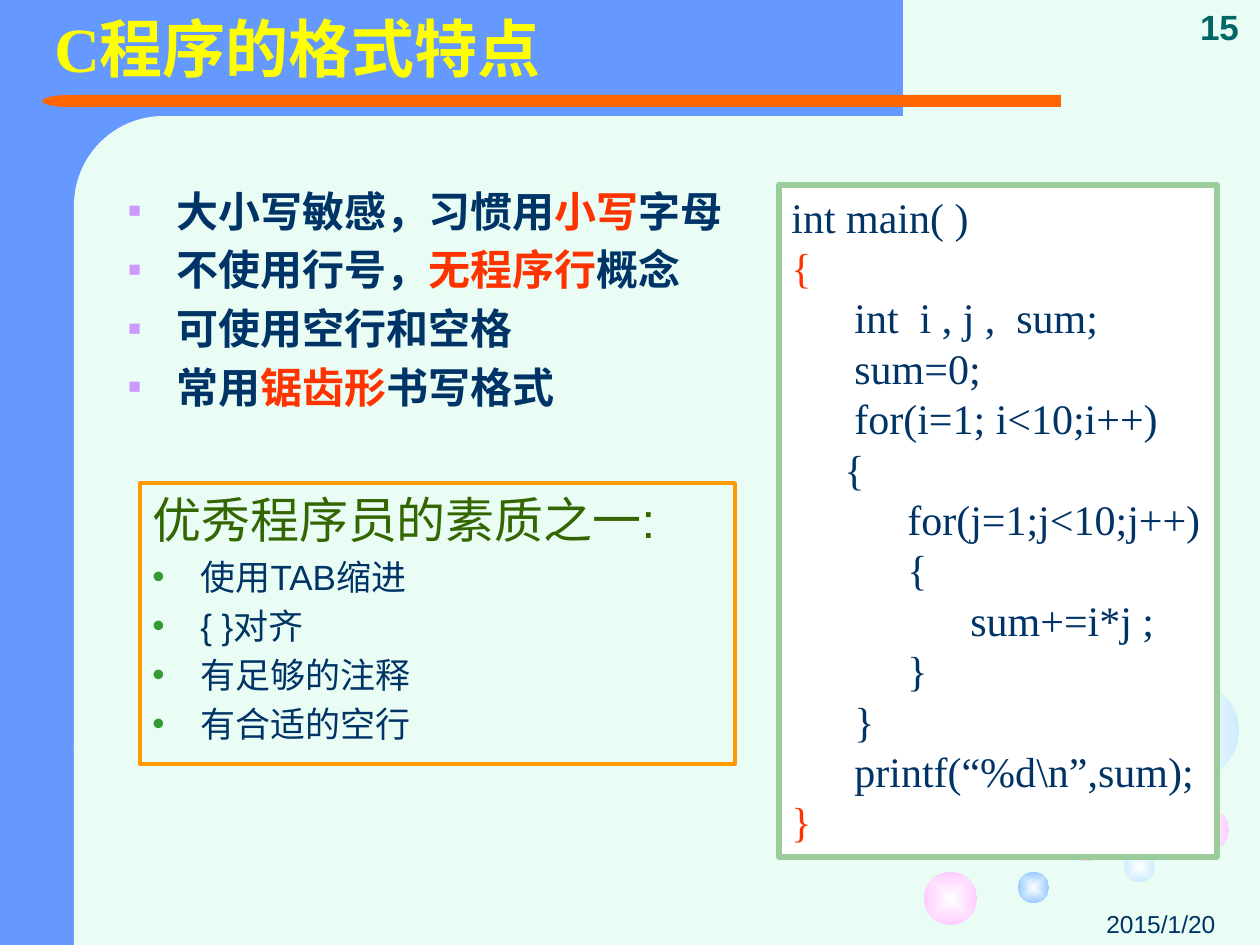
"""Build the slide on the layout habits of C programs."""
from lxml.etree import SubElement
from pptx import Presentation
from pptx.dml.color import RGBColor
from pptx.enum.shapes import MSO_SHAPE
from pptx.enum.text import MSO_ANCHOR, PP_ALIGN
from pptx.oxml.ns import qn
from pptx.util import Emu, Pt

MINT, BLUE, ORANGE = "E9FDF4", "6699FF", "FF6600"
NAVY, RED = "003366", "FF3300"
PINK, PALE, SKY = "FFCCFF", "CCECFF", "99CCFF"
BUBBLES = [(1050, 788, 73, PINK), (924, 872, 53, PINK), (1124, 851, 31, PALE),
           (1187, 809, 42, PINK), (1144, 683, 95, PALE), (1018, 872, 31, SKY)]
POINTS = [
    [("大小写敏感，习惯用", NAVY), ("小写", RED), ("字母", NAVY)],
    [("不使用行号，", NAVY), ("无程序行", RED), ("概念", NAVY)],
    [("可使用空行和空格", NAVY)],
    [("常用", NAVY), ("锯齿形", RED), ("书写格式", NAVY)],
]
HABITS = ["使用TAB缩进", "{ }对齐", "有足够的注释", "有合适的空行"]
CODE = [(0, "int main( )", NAVY), (0, "{", RED), (63, "int  i , j ,  sum;", NAVY),
        (63, "sum=0;", NAVY), (63, "for(i=1; i<10;i++)", NAVY), (53, "{", NAVY),
        (116, "for(j=1;j<10;j++)", NAVY), (116, "{", NAVY), (179, "sum+=i*j ;", NAVY),
        (116, "}", NAVY), (63, "}", NAVY), (63, "printf(“%d\\n”,sum);", NAVY),
        (0, "}", RED)]


def px(n):
    return Emu(round(n * 914400 / 126))


def rgb(value):
    return RGBColor.from_string(value)


def write(tf, runs, size=24, font="Arial", bold=False, align=None, margin=0,
          hang=0, before=0, bullet=None, bullet_color=None, bullet_size=100,
          line_spacing=None):
    """Append one paragraph of (text, colour) runs to a text frame."""
    p = tf.paragraphs[0]
    if p.runs:
        p = tf.add_paragraph()
    p.alignment = align
    p.line_spacing = line_spacing
    for text, color in runs:
        r = p.add_run()
        r.text = text
        r.font.size, r.font.name, r.font.bold = Pt(size), font, bold
        r.font.color.rgb = rgb(color)
    ppr = p._p.get_or_add_pPr()
    ppr.set("marL", str(px(margin)))
    ppr.set("indent", str(px(-hang)))
    if before:
        spacing = SubElement(ppr, qn("a:spcBef"))
        SubElement(spacing, qn("a:spcPct"), val=str(before * 1000))
    if bullet:
        color = SubElement(ppr, qn("a:buClr"))
        SubElement(color, qn("a:srgbClr"), val=bullet_color)
        SubElement(ppr, qn("a:buSzPct"), val=str(bullet_size * 1000))
        SubElement(ppr, qn("a:buFont"), typeface="Arial")
        SubElement(ppr, qn("a:buChar"), char=bullet)


class Deck:
    """Hold the current slide and draw its elements."""

    def __init__(self, s):
        self.s = s

    def shape(self, kind, x, y, w, h, fill=None, line=None, weight=1):
        sp = self.s.shapes.add_shape(kind, px(x), px(y), px(w), px(h))
        sp.shadow.inherit = False
        if fill:
            sp.fill.solid()
            sp.fill.fore_color.rgb = rgb(fill)
        else:
            sp.fill.background()
        if line:
            sp.line.color.rgb = rgb(line)
            sp.line.width = Pt(weight)
        else:
            sp.line.fill.background()
        return sp

    def bubble(self, x, y, d, color):
        sp = self.shape(MSO_SHAPE.OVAL, x, y, d, d)
        sp.fill.gradient()
        for stop, value in zip(sp.fill.gradient_stops, ("FFFFFF", color)):
            stop.color.rgb = rgb(value)
        grad = sp._element.spPr.find(qn("a:gradFill"))
        grad.remove(grad.find(qn("a:lin")))
        focus = SubElement(grad, qn("a:path"), path="shape")
        SubElement(focus, qn("a:fillToRect"), l="50000", t="50000", r="50000", b="50000")

    def frame(self, x, y, w, h, line, weight, fill=None):
        sp = self.shape(MSO_SHAPE.RECTANGLE, x, y, w, h, fill, line, weight)
        tf = sp.text_frame
        tf.word_wrap, tf.vertical_anchor = True, MSO_ANCHOR.TOP
        return tf

    def text(self, x, y, w, h, anchor=MSO_ANCHOR.TOP):
        tf = self.s.shapes.add_textbox(px(x), px(y), px(w), px(h)).text_frame
        tf.word_wrap, tf.vertical_anchor = True, anchor
        return tf


def draw_backdrop(deck):
    rect, rounded = MSO_SHAPE.RECTANGLE, MSO_SHAPE.ROUNDED_RECTANGLE
    deck.shape(rect, 0, 0, 158, 945, BLUE)
    deck.shape(rect, 63, 0, 840, 116, BLUE)
    deck.shape(rounded, 74, 116, 179, 724, MINT).adjustments[0] = 0.5
    deck.shape(rect, 95, 95, 966, 12, ORANGE)
    deck.shape(MSO_SHAPE.FLOWCHART_DELAY, 42, 95, 54, 12, ORANGE).rotation = 180
    deck.shape(rect, 74, 746, 179, 199, MINT)
    for bubble in BUBBLES:
        deck.bubble(*bubble)


def main():
    prs = Presentation()
    prs.slide_width, prs.slide_height = px(1260), px(945)
    s = prs.slides.add_slide(prs.slide_layouts[6])
    s.background.fill.solid()
    s.background.fill.fore_color.rgb = rgb(MINT)
    deck = Deck(s)
    draw_backdrop(deck)

    write(deck.text(966, 903, 262, 42, MSO_ANCHOR.BOTTOM), [("2015/1/20", NAVY)],
          size=14, align=PP_ALIGN.RIGHT)
    write(deck.text(1179, 0, 81, 54, MSO_ANCHOR.BOTTOM), [("15", "006666")],
          size=20, bold=True, align=PP_ALIGN.CENTER)
    write(deck.text(42, 0, 1060, 105, MSO_ANCHOR.MIDDLE), [("C程序的格式特点", "FFFF00")],
          size=36, font="Times New Roman", bold=True, line_spacing=0.9)

    tf = deck.text(-10, 179, 1144, 305)
    for runs in POINTS:
        write(tf, runs, font="Roboto", bold=True, margin=174, hang=48, before=20,
              bullet="■", bullet_color="CC99FF", bullet_size=50)

    tf = deck.frame(779, 185, 438, 672, "99CC99", 3, "FFFFFF")
    tf.margin_right = 0
    for margin, text, color in CODE:
        write(tf, [(text, color)], font="Times New Roman", margin=margin)

    tf = deck.frame(140, 483, 595, 281, "FF9900", 2.25)
    write(tf, [("优秀程序员的素质之一:", "336600")], size=28, margin=48, hang=48, before=20)
    for habit in HABITS:
        write(tf, [(habit, NAVY)], size=20, margin=48, hang=48, before=20,
              bullet="•", bullet_color="339933")
    prs.save("out.pptx")


if __name__ == "__main__":
    main()
